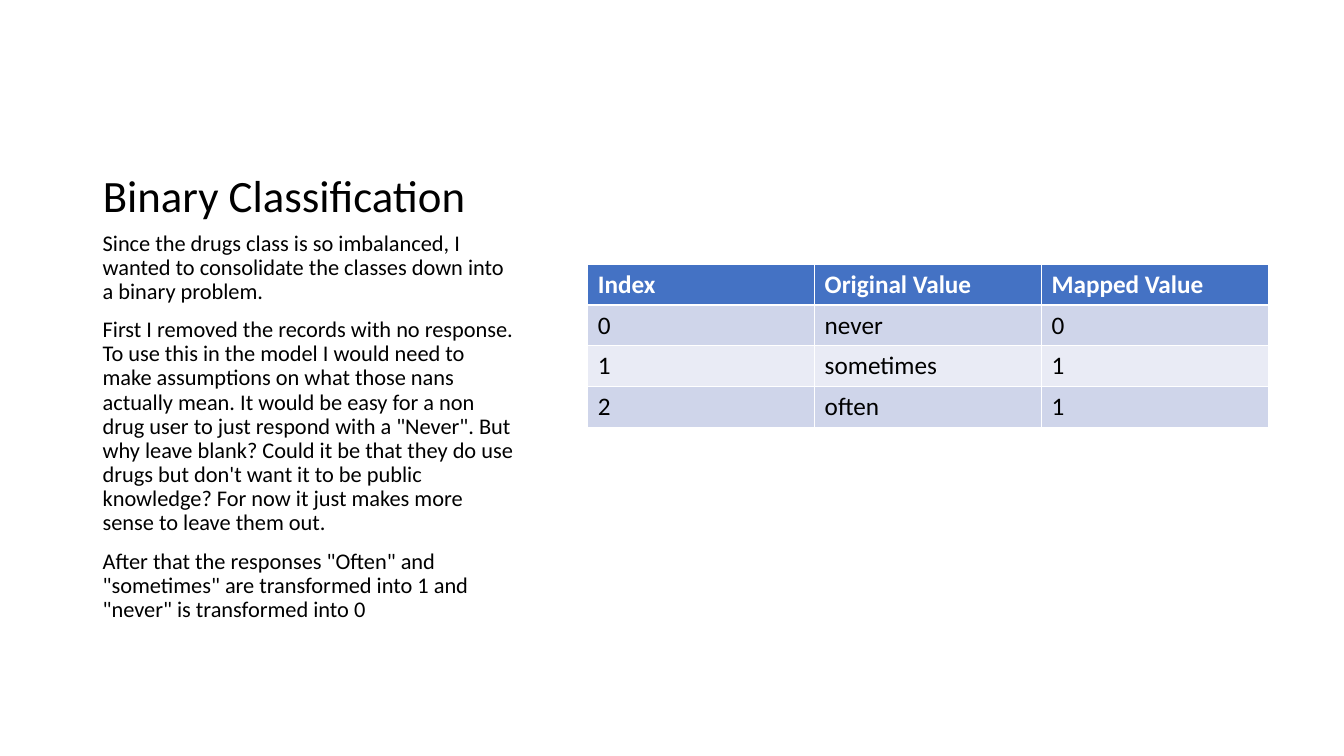
from pptx import Presentation
from pptx.dml.color import RGBColor
from pptx.enum import text as t
from pptx.util import Inches, Pt

# Content
TITLE = "Binary Classification"
NOTES = [
    "Since the drugs class is so imbalanced, I wanted to consolidate the "
    "classes down into a binary problem.\u00a0",
    "First I removed the records with no response. To use this in the model "
    "I would need to make assumptions on what those nans actually mean. It "
    "would be easy for a non drug user to just respond with a \"Never\". But "
    "why leave blank? Could it be that they do use drugs but don't want it "
    "to be public knowledge? For now it just makes more sense to leave them "
    "out.",
    "After that the responses \"Often\" and \"sometimes\" are transformed "
    "into 1 and \"never\" is transformed into 0",
]
ROWS = [
    ("Index", "Original Value", "Mapped Value"),
    ("0", "never", "0"),
    ("1", "sometimes", "1"),
    ("2", "often", "1"),
]
HEAD, BANDS = "4472C4", ("E9EBF5", "CFD5EA")
BLACK, WHITE = "000000", "FFFFFF"
LEFT, WIDE = 0.92, 4.3
COL, ROW = 2.25, 0.405


def paint(color, code):
    color.rgb = RGBColor.from_string(code)


def style(para, size, code=BLACK, bold=False):
    font = para.font
    font.name, font.size, font.bold = "Calibri", Pt(size), bold
    paint(font.color, code)
    para.alignment = t.PP_ALIGN.LEFT


def setup(frame, anchor):
    frame.word_wrap = True
    frame.auto_size = t.MSO_AUTO_SIZE.NONE
    frame.vertical_anchor = anchor


deck = Presentation()
deck.slide_width, deck.slide_height = Inches(13.33), Inches(7.5)
slide = deck.slides.add_slide(deck.slide_layouts[5])

# Title
title = slide.shapes.title
title.left, title.top = Inches(LEFT), Inches(0.5)
title.width, title.height = Inches(WIDE), Inches(1.75)
title.text_frame.text = TITLE
setup(title.text_frame, t.MSO_ANCHOR.BOTTOM)
para = title.text_frame.paragraphs[0]
para.line_spacing = 0.9
style(para, 32)

# Mapping table; its default style draws the white rules
grid = slide.shapes.add_table(
    len(ROWS), len(ROWS[0]), Inches(5.83), Inches(2.62),
    Inches(COL * len(ROWS[0])), Inches(ROW * len(ROWS))).table
for col in grid.columns:
    col.width = Inches(COL)
for r, row in enumerate(ROWS):
    grid.rows[r].height = Inches(ROW)
    for c, value in enumerate(row):
        cell = grid.cell(r, c)
        cell.text = value
        cell.fill.solid()
        paint(cell.fill.fore_color, BANDS[r % 2] if r else HEAD)
        style(cell.text_frame.paragraphs[0], 18,
              BLACK if r else WHITE, r == 0)

# Explanation
body = slide.shapes.add_textbox(
    Inches(LEFT), Inches(2.25), Inches(WIDE), Inches(4.17)).text_frame
body.text = "\n".join(NOTES)
setup(body, t.MSO_ANCHOR.TOP)
for para in body.paragraphs:
    para.line_spacing, para.space_before = 0.9, Pt(10)
    style(para, 16)

# Band order: first data row is the darker shade
for r in range(1, len(ROWS)):
    for cell in grid.rows[r].cells:
        paint(cell.fill.fore_color, BANDS[r % 2])

deck.save("out.pptx")
